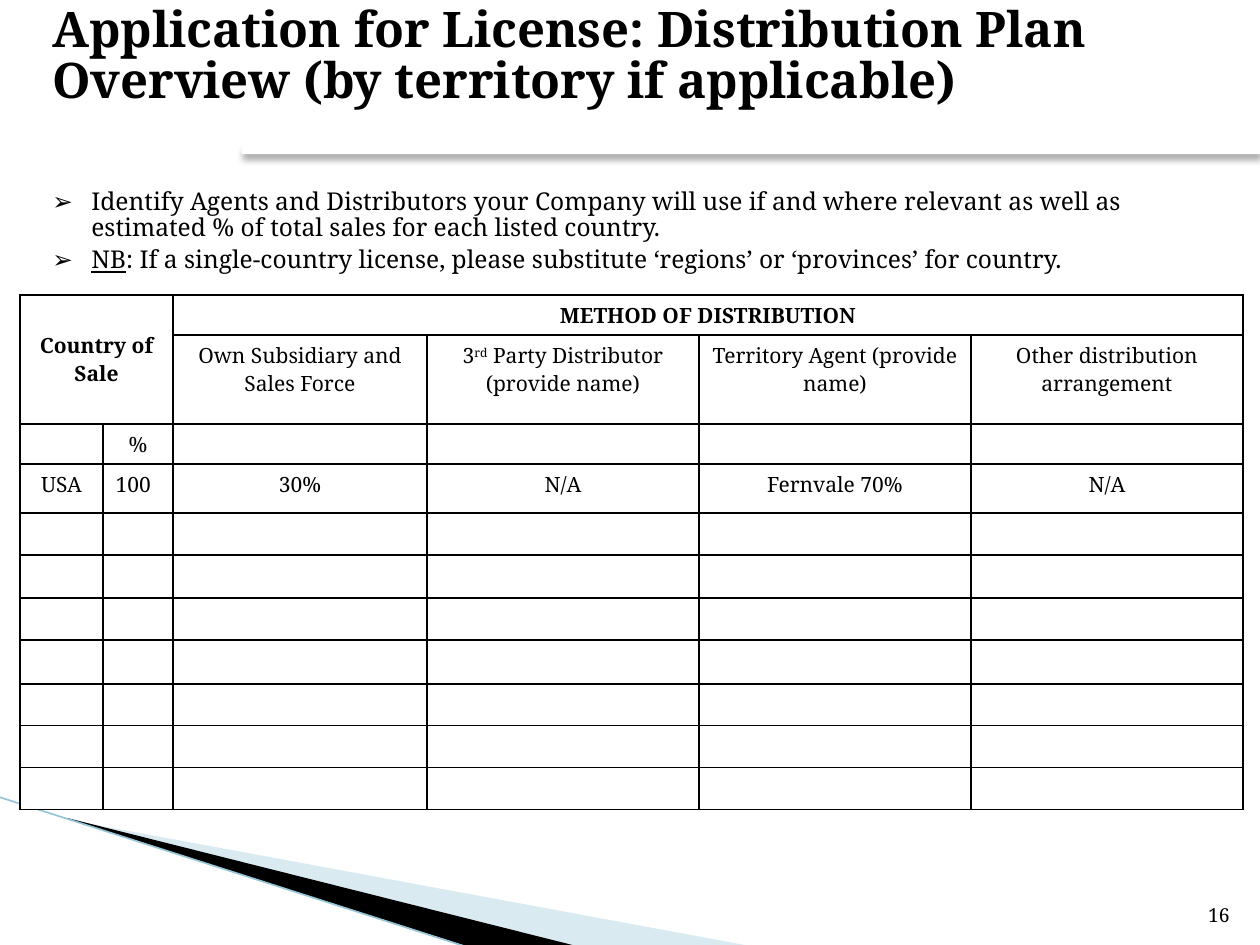
"""Build the distribution plan slide with its territory table."""
from lxml import etree
from pptx import Presentation
from pptx.dml.color import RGBColor
from pptx.enum.shapes import MSO_CONNECTOR
from pptx.enum.text import MSO_ANCHOR, PP_ALIGN
from pptx.oxml.ns import qn
from pptx.util import Emu, Pt

STRAIGHT = MSO_CONNECTOR.STRAIGHT
TOP, MIDDLE, BOTTOM = MSO_ANCHOR.TOP, MSO_ANCHOR.MIDDLE, MSO_ANCHOR.BOTTOM
LEFT, CENTER, RIGHT = PP_ALIGN.LEFT, PP_ALIGN.CENTER, PP_ALIGN.RIGHT
BLACK = RGBColor(0x00, 0x00, 0x00)
WHITE = RGBColor(0xFF, 0xFF, 0xFF)
PALE_BLUE = RGBColor(0xA0, 0xCB, 0xDC)
LINE_BLUE = RGBColor(0x97, 0xC5, 0xD8)
FONT = "Noto Serif"
SCALE = 914400 / 126


def px(length):
    return Emu(round(length * SCALE))


def write(para, text, size=12, bold=False, underline=False, raised=False, align=LEFT):
    para.alignment = align
    span = para.add_run()
    span.text = text
    span.font.name = FONT
    span.font.size = Pt(size)
    span.font.bold = bold
    span.font.underline = underline
    span.font.color.rgb = BLACK
    if raised:
        span.font._element.set("baseline", "30000")


deck = Presentation()
deck.slide_width, deck.slide_height = px(1260), px(945)
page = deck.slides.add_slide(deck.slide_layouts[6])
shapes = page.shapes

wedges = [
    ([(69, 820), (750, 946), (575, 946), (69, 819)], PALE_BLUE, 40),
    ([(67, 818), (576, 946), (469, 947), (68, 819)], BLACK, 100),
]
for points, color, opacity in wedges:
    builder = shapes.build_freeform(*points[0], scale=SCALE)
    builder.add_line_segments(points[1:], close=True)
    wedge = builder.convert_to_shape()
    wedge.shadow.inherit = False
    wedge.fill.solid()
    wedge.fill.fore_color.rgb = color
    wedge.line.fill.background()
    tint = wedge._element.spPr.find(qn("a:solidFill"))[0]
    etree.SubElement(tint, qn("a:alpha"), val=str(opacity * 1000))

rules = [
    ((-1, 797, 467, 947), LINE_BLUE, 0.95, False),
    ((242, 150, 1260, 150), WHITE, 4.33, True),
]
for ends, color, width, shaded in rules:
    rule = shapes.add_connector(STRAIGHT, *[px(end) for end in ends])
    rule.line.color.rgb = color
    rule.line.width = Pt(width)
    effects = etree.SubElement(rule._element.spPr, qn("a:effectLst"))
    if shaded:
        shadow = etree.SubElement(
            effects, qn("a:outerShdw"), blurRad=str(Pt(4)), dist=str(Pt(3)),
            dir="5400000", algn="t", rotWithShape="0")
        shade = etree.SubElement(shadow, qn("a:srgbClr"), val=str(BLACK))
        etree.SubElement(shade, qn("a:alpha"), val="35000")

frames = []
for bounds, anchor in [
    ((40, 0, 1168, 131), TOP),
    ((40, 184, 1168, 110), TOP),
    ((1192, 883, 50, 50), BOTTOM),
]:
    box = shapes.add_textbox(*[px(length) for length in bounds])
    box.text_frame.word_wrap = True
    box.text_frame.vertical_anchor = anchor
    frames.append(box.text_frame)
title, notes, number = frames

title.paragraphs[0].line_spacing = 0.87
write(title.paragraphs[0],
      "Application for License: Distribution Plan Overview (by territory if applicable)",
      size=28, bold=True)
write(number.paragraphs[0], "16", size=11, align=RIGHT)

advice = notes.paragraphs[0]
caution = notes.add_paragraph()
write(advice, "Identify Agents and Distributors your Company will use if and where relevant "
      "as well as estimated % of total sales for each listed country.", size=14)
write(caution, "NB", size=14, underline=True)
write(caution, ": If a single-country license, please substitute ‘regions’ or ‘provinces’ "
      "for country.", size=14)
for para in (advice, caution):
    para.line_spacing = 0.87
    para.space_after = Pt(4)
    layout = para._p.get_or_add_pPr()
    layout.set("marL", str(px(39)))
    layout.set("indent", str(px(-39)))
    tone = etree.SubElement(layout, qn("a:buClr"))
    etree.SubElement(tone, qn("a:srgbClr"), val=str(BLACK))
    etree.SubElement(layout, qn("a:buFont"), typeface=FONT)
    etree.SubElement(layout, qn("a:buChar"), char="➢")

widths = [83, 70, 254, 272, 272, 272]
heights = [40, 89, 40, 49, 42, 43, 42, 44, 42, 42, 42]
entries = [
    ["Country of Sale", "", "METHOD OF DISTRIBUTION", "", "", ""],
    ["", "", "Own Subsidiary and Sales Force", "3^rd^ Party Distributor (provide name)",
     "Territory Agent (provide name)", "Other distribution arrangement"],
    ["", "%", "", "", "", ""],
    ["USA", "100", "30%", "N/A", "Fernvale 70%", "N/A"],
]
entries += [[""] * len(widths)] * (len(heights) - len(entries))

table = shapes.add_table(len(heights), len(widths), px(20), px(295),
                         px(sum(widths)), px(sum(heights))).table
table.first_row = False
table.horz_banding = False
for column, width in zip(table.columns, widths):
    column.width = px(width)
for row, height in zip(table.rows, heights):
    row.height = px(height)

for row_index, texts in enumerate(entries):
    for column_index, text in enumerate(texts):
        cell = table.cell(row_index, column_index)
        cell.margin_top = cell.margin_bottom = px(6)
        for side in ("a:lnL", "a:lnR", "a:lnT", "a:lnB"):
            border = etree.SubElement(cell._tc.get_or_add_tcPr(), qn(side), w=str(Pt(1)))
            paint = etree.SubElement(border, qn("a:solidFill"))
            etree.SubElement(paint, qn("a:srgbClr"), val=str(BLACK))
        cell.fill.solid()
        cell.fill.fore_color.rgb = WHITE
        para = cell.text_frame.paragraphs[0]
        if text:
            for part_index, part in enumerate(text.split("^")):
                write(para, part, bold=row_index == 0, raised=part_index == 1,
                      align=LEFT if text == "100" else CENTER)
        else:
            ending = etree.SubElement(para._p, qn("a:endParaRPr"), sz="1200")
            etree.SubElement(ending, qn("a:latin"), typeface=FONT)

table.cell(0, 0).merge(table.cell(1, 1))
table.cell(0, 2).merge(table.cell(0, 5))
table.cell(0, 0).vertical_anchor = MIDDLE

deck.save("out.pptx")
